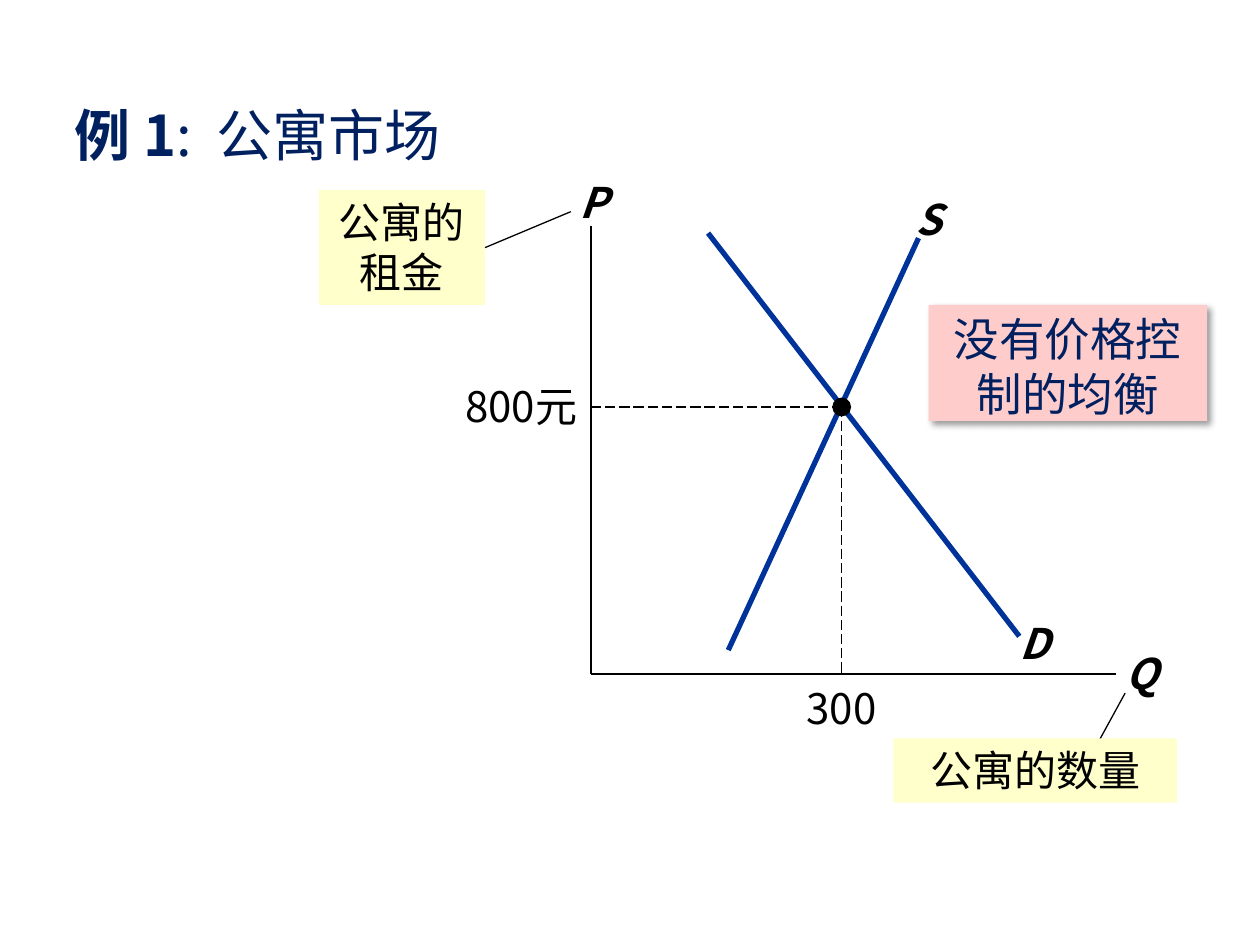
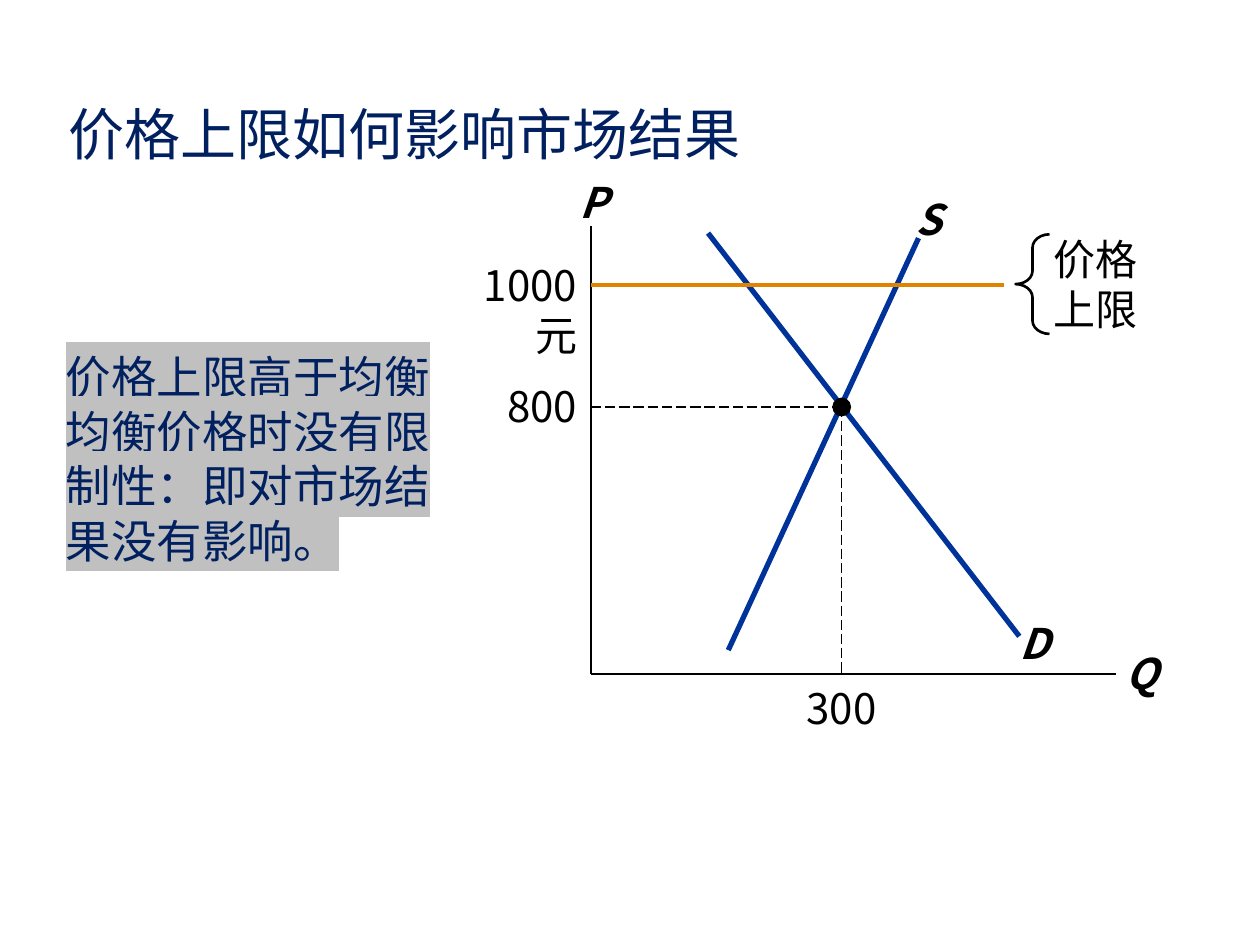
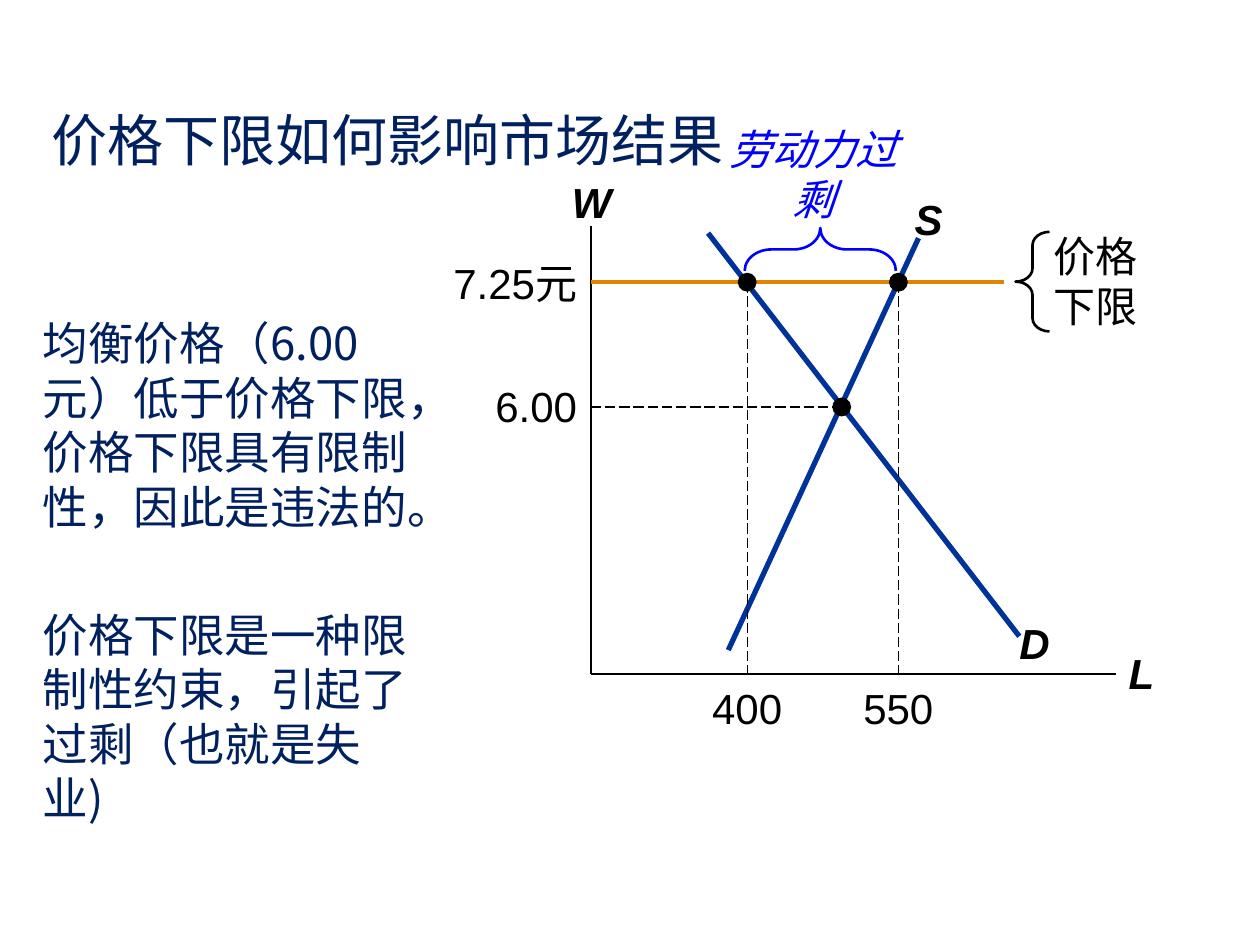
from lxml import etree
from pptx import Presentation
from pptx.dml.color import RGBColor
from pptx.enum.dml import MSO_LINE
from pptx.enum.shapes import MSO_CONNECTOR, MSO_SHAPE
from pptx.enum.text import MSO_ANCHOR, MSO_AUTO_SIZE, PP_ALIGN
from pptx.oxml import parse_xml
from pptx.oxml.ns import nsdecls, qn
from pptx.util import Inches, Pt

# Shared colours and fonts
NAVY = RGBColor(0x00, 0x20, 0x60)
CURVE_BLUE = RGBColor(0x00, 0x33, 0x99)
SURPLUS_BLUE = RGBColor(0x00, 0x00, 0xFF)
ORANGE = RGBColor(0xDE, 0x84, 0x00)
BLACK = RGBColor(0x00, 0x00, 0x00)
CREAM = RGBColor(0xFF, 0xFF, 0xCC)
PINK = RGBColor(0xFF, 0xCC, 0xCC)
GREY = RGBColor(0xC0, 0xC0, 0xC0)
CJK_FONT = "Noto Sans CJK SC"
LATIN_FONT = "Arial"

# Shared places in the diagram
ORIGIN_X, ORIGIN_Y = 4.69, 5.35
EQUILIBRIUM_X, EQUILIBRIUM_Y = 6.68, 3.23
DOT_SIZE = 0.15
LABEL_HEIGHT = 0.4
LEFT, CENTER, RIGHT = PP_ALIGN.LEFT, PP_ALIGN.CENTER, PP_ALIGN.RIGHT


# Text
def add_span(para, text, size, color=BLACK, font=CJK_FONT, bold=False,
             italic=False, highlight=None, spacing=None):
    span = para.add_run()
    span.text = text
    span.font.size = Pt(size)
    span.font.bold = bold
    span.font.italic = italic
    span.font.color.rgb = color
    span.font.name = font
    properties = span._r.get_or_add_rPr()
    properties.set("lang", "zh-CN")
    if spacing:
        properties.set("spc", str(spacing * 100))
    east_asian = etree.Element(qn("a:ea"), typeface=CJK_FONT)
    properties.find(qn("a:latin")).addnext(east_asian)
    if highlight is not None:
        marker = etree.Element(qn("a:highlight"))
        etree.SubElement(marker, qn("a:srgbClr"), val=str(highlight))
        properties.find(qn("a:solidFill")).addnext(marker)


def place(shape, left, top, width, height):
    shape.left, shape.top = Inches(left), Inches(top)
    shape.width, shape.height = Inches(width), Inches(height)


def add_title(page, area, *spans):
    """Each span is a text and its character options."""
    title = page.shapes.title
    place(title, *area)
    frame = title.text_frame
    frame.auto_size = MSO_AUTO_SIZE.NONE
    frame.vertical_anchor = MSO_ANCHOR.MIDDLE
    para = frame.paragraphs[0]
    para.alignment = CENTER
    for text, options in spans:
        add_span(para, text, 32, NAVY, **options)


def add_body(page, area, texts, align=LEFT, highlight=None):
    body = page.placeholders[1]
    place(body, *area)
    frame = body.text_frame
    frame.auto_size = MSO_AUTO_SIZE.NONE
    for index, text in enumerate(texts):
        para = frame.add_paragraph() if index else frame.paragraphs[0]
        para.alignment = align
        if index:
            para.space_before = Pt(42)
        properties = para._p.get_or_add_pPr()
        properties.set("marL", "0")
        properties.set("indent", "0")
        etree.SubElement(properties, qn("a:buNone"))
        add_span(para, text, 26, NAVY, highlight=highlight)
    return body


def add_label(page, area, text, align=CENTER, inset=True, fill=None, **style):
    box = page.shapes.add_textbox(*map(Inches, area))
    frame = box.text_frame
    frame.word_wrap = True
    frame.auto_size = MSO_AUTO_SIZE.SHAPE_TO_FIT_TEXT
    if not inset:
        frame.margin_left = frame.margin_right = 0
        frame.margin_top = frame.margin_bottom = 0
    if fill is not None:
        box.fill.solid()
        box.fill.fore_color.rgb = fill
    para = frame.paragraphs[0]
    para.alignment = align
    add_span(para, text, 24, **style)
    return box


def add_price(page, top, text, font=CJK_FONT):
    add_label(page, (3.56, top, 1.02, LABEL_HEIGHT), text, RIGHT, False, font=font)


def add_quantity(page, x, text, font=CJK_FONT):
    add_label(page, (x - 0.48, 5.42, 0.96, LABEL_HEIGHT), text, inset=False, font=font)


# Lines and marks
def add_line(page, start, end, color=BLACK, width=0.75, dashed=False):
    line = page.shapes.add_connector(
        MSO_CONNECTOR.STRAIGHT, *map(Inches, start), *map(Inches, end))
    line.line.color.rgb = color
    line.line.width = Pt(width)
    if dashed:
        line.line.dash_style = MSO_LINE.LONG_DASH
    etree.SubElement(line._element.spPr, qn("a:effectLst"))
    return line


def add_dot(page, x, y):
    dot = page.shapes.add_shape(
        MSO_SHAPE.OVAL, Inches(x - DOT_SIZE / 2), Inches(y - DOT_SIZE / 2),
        Inches(DOT_SIZE), Inches(DOT_SIZE))
    dot.shadow.inherit = False
    dot.fill.solid()
    dot.fill.fore_color.rgb = BLACK
    dot.line.fill.background()


def add_brace(page, area, bend, color=BLACK, rotation=0):
    brace = page.shapes.add_shape(MSO_SHAPE.LEFT_BRACE, *map(Inches, area))
    brace.shadow.inherit = False
    brace.fill.background()
    brace.line.color.rgb = color
    brace.line.width = Pt(1.5)
    brace.adjustments[0] = bend
    brace.rotation = rotation


def add_shadow(shape):
    shape._element.spPr.append(parse_xml(
        f'<a:effectLst {nsdecls("a")}>'
        '<a:outerShdw blurRad="50800" dist="38100" dir="2700000" algn="tl" rotWithShape="0">'
        '<a:srgbClr val="000000"><a:alpha val="40000"/></a:srgbClr>'
        '</a:outerShdw></a:effectLst>'))


# Parts of the market diagram
def add_market(page, vertical, horizontal, font=CJK_FONT, vertical_left=4.48):
    add_line(page, (ORIGIN_X, 1.79), (ORIGIN_X, ORIGIN_Y), width=1)
    add_line(page, (ORIGIN_X, ORIGIN_Y), (8.86, ORIGIN_Y), width=1)
    add_line(page, (5.62, 1.85), (8.09, 5.05), CURVE_BLUE, 3)
    add_line(page, (5.78, 5.16), (7.29, 1.89), CURVE_BLUE, 3)
    for text, left, top, width in ((vertical, vertical_left, 1.35, 0.46),
                                   (horizontal, 8.81, 5.09, 0.5),
                                   ("D", 7.93, 4.85, 0.56),
                                   ("S", 7.09, 1.49, 0.56)):
        add_label(page, (left, top, width, 0.5), text, font=font, bold=True, italic=True)


def add_equilibrium(page, price, quantity=None, font=CJK_FONT):
    point = (EQUILIBRIUM_X, EQUILIBRIUM_Y)
    add_line(page, (ORIGIN_X, EQUILIBRIUM_Y), point, dashed=True)
    if quantity:
        add_line(page, point, (EQUILIBRIUM_X, ORIGIN_Y), dashed=True)
        add_quantity(page, EQUILIBRIUM_X, quantity)
    add_dot(page, *point)
    add_price(page, 3.02, price, font)


def add_price_limit(page, y, name, price, font=CJK_FONT):
    add_line(page, (ORIGIN_X, y), (7.97, y), ORANGE, 2.25)
    add_label(page, (8.26, y - 0.46, 1.06, 0.91), name, LEFT)
    add_brace(page, (8.06, y - 0.4, 0.27, 0.79), 0.39)
    add_price(page, y - 0.2, price, font)


# Slides
def build_apartment_market(page):
    add_title(page, (0.11, 0.71, 3.87, 0.71), ("例 1", {"bold": True}),
              (":", {}), (" ", {"spacing": 7}), ("公寓市场", {}))
    body = add_body(page, (7.37, 2.42, 2.21, 0.92), ["没有价格控制的均衡"], CENTER)
    body.fill.solid()
    body.fill.fore_color.rgb = PINK
    add_shadow(body)
    add_market(page, "P", "Q")
    add_equilibrium(page, "800元", "300")
    # Axis notes with leader lines
    rent_note = add_label(page, (2.53, 1.51, 1.32, 0.91), "公寓的租金", fill=CREAM)
    leader = add_line(page, (3.85, 1.97), (4.53, 1.68))
    leader.begin_connect(rent_note, 3)
    add_line(page, (8.58, 6.14), (8.93, 5.5))
    add_label(page, (7.09, 5.86, 2.25, 0.51), "公寓的数量", fill=CREAM)


def build_price_ceiling(page):
    add_title(page, (0.26, 0.7, 5.91, 0.71), ("价格上限如何影响市场结果", {}))
    add_body(page, (0.42, 2.72, 3.14, 1.94),
             ["价格上限高于均衡均衡价格时没有限制性：即对市场结果没有影响。"],
             highlight=GREY)
    add_market(page, "P", "Q")
    add_equilibrium(page, "800", "300")
    add_price_limit(page, 2.26, "价格上限", "1000元")


def build_price_floor(page):
    floor_y = 2.24
    add_title(page, (0.31, 0.75, 5.54, 0.71), ("价格下限如何影响市场结果", {}))
    add_body(page, (0.24, 2.45, 3.21, 3.45),
             ["均衡价格（6.00元）低于价格下限，价格下限具有限制性，因此是违法的。",
              "价格下限是一种限制性约束，引起了过剩（也就是失业)"])
    add_market(page, "W", "L", LATIN_FONT, 4.44)
    add_equilibrium(page, "6.00", font=LATIN_FONT)
    add_price_limit(page, floor_y, "价格下限", "7.25元", LATIN_FONT)
    # Labour demanded and supplied at the floor
    for x, quantity in ((5.93, "400"), (7.13, "550")):
        add_line(page, (x, floor_y), (x, ORIGIN_Y), dashed=True)
        add_quantity(page, x, quantity, LATIN_FONT)
        add_dot(page, x, floor_y)
    # Surplus
    add_brace(page, (6.34, 1.38, 0.34, 1.2), 0.62, SURPLUS_BLUE, 90)
    add_label(page, (5.78, 0.98, 1.35, 0.81), "劳动力过剩", inset=False,
              color=SURPLUS_BLUE, italic=True)


def main():
    deck = Presentation()
    deck.slide_width, deck.slide_height = Inches(10), Inches(7.5)
    for build in (build_apartment_market, build_price_ceiling, build_price_floor):
        build(deck.slides.add_slide(deck.slide_layouts[1]))
    deck.save("out.pptx")


if __name__ == "__main__":
    main()
